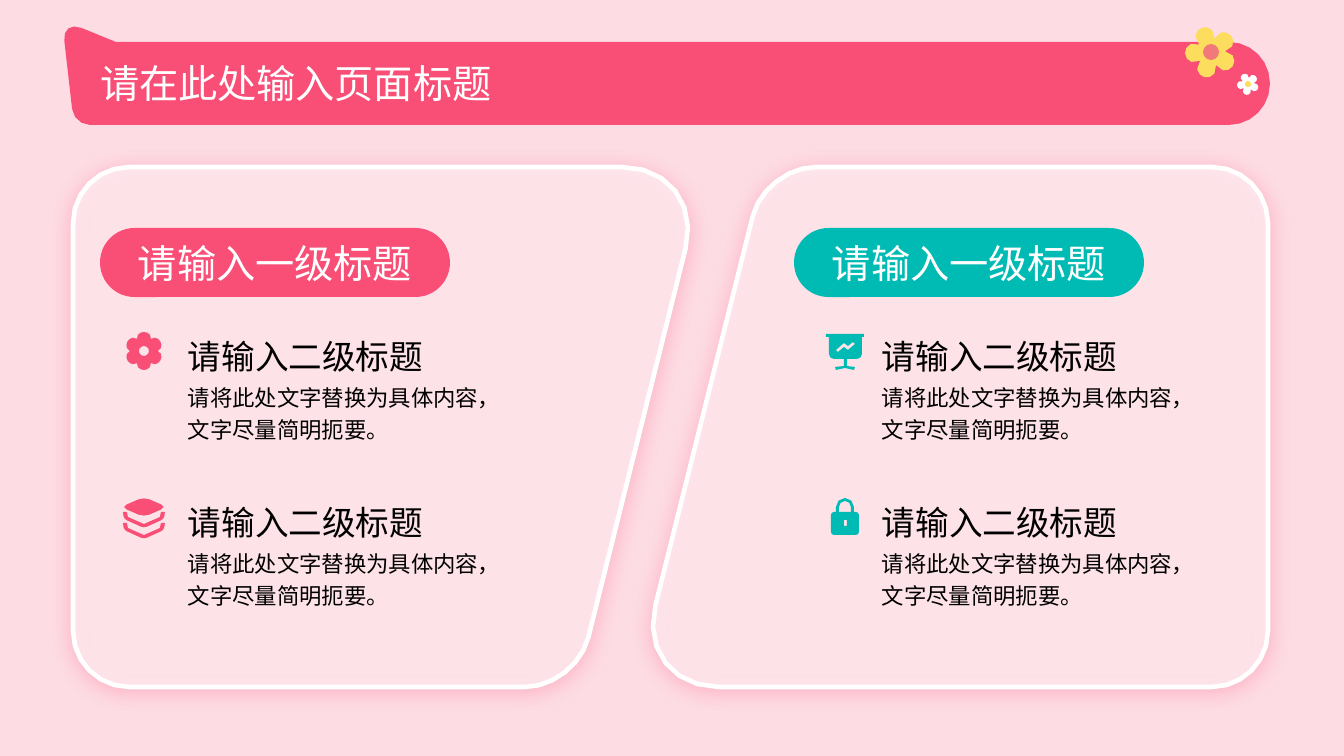
from math import cos, dist, pi, sin

from lxml import etree
from pptx import Presentation
from pptx.dml.color import RGBColor
from pptx.enum.shapes import MSO_SHAPE
from pptx.enum.text import MSO_ANCHOR, MSO_AUTO_SIZE, PP_ALIGN
from pptx.oxml import parse_xml
from pptx.oxml.ns import nsdecls, qn
from pptx.util import Pt

PX = 12192000 / 1344  # EMU per px


class Theme:
    back = RGBColor(0xFE, 0xDC, 0xE4)
    pink = RGBColor(0xF9, 0x4E, 0x76)
    teal = RGBColor(0x00, 0xBB, 0xB4)
    yellow = RGBColor(0xFC, 0xDD, 0x5E)
    coral = RGBColor(0xF2, 0x79, 0x79)
    white = RGBColor(0xFF, 0xFF, 0xFF)
    black = RGBColor(0, 0, 0)
    head_font, body_font = "Noto Sans CJK SC", "Karla"
    title, heading, body = Pt(28), Pt(24), Pt(16)


prs = Presentation()
prs.slide_width, prs.slide_height = round(1344 * PX), round(756 * PX)
s = prs.slides.add_slide(prs.slide_layouts[5])
s.background.fill.solid()
s.background.fill.fore_color.rgb = Theme.back


def outline(contours, color):
    """Fill closed contours of (x, y, cut) corners; cut is the rounded length."""
    fb = None
    for corners in contours:
        pts = []
        for i, (x, y, cut) in enumerate(corners):
            if not cut:
                pts.append((x, y))
                continue
            ends = []
            for nx, ny, _ in (corners[i - 1], corners[(i + 1) % len(corners)]):
                k = cut / dist((x, y), (nx, ny))
                ends.append(((nx - x) * k, (ny - y) * k))
            (ax, ay), (bx, by) = ends
            steps = min(6, 2 + cut // 10)
            for t in (j / steps for j in range(steps + 1)):
                wa = (1 - t) ** 3 + 1.35 * t * (1 - t) ** 2
                wb = t ** 3 + 1.35 * (1 - t) * t ** 2
                pts.append((x + ax * wa + bx * wb, y + ay * wa + by * wb))
        pts = [(round(x * PX), round(y * PX)) for x, y in pts]
        if fb is None:
            fb = s.shapes.build_freeform(*pts[0])
        else:
            fb.move_to(*pts[0])
        fb.add_line_segments(pts[1:], close=True)
    shape = fb.convert_to_shape()
    shape.shadow.inherit = False
    shape.fill.solid()
    shape.fill.fore_color.rgb = color
    shape.line.fill.background()
    return shape


def write(shape, text, size, color, font=Theme.head_font, spacing=1.0):
    tf = shape.text_frame
    tf.word_wrap = True
    p = tf.paragraphs[0]
    p.text = text
    p.line_spacing = spacing
    p.font.name, p.font.size, p.font.color.rgb = font, size, color
    latin = p._p.pPr.find(qn("a:defRPr")).find(qn("a:latin"))
    latin.addnext(etree.Element(qn("a:ea"), typeface=Theme.head_font))
    return p


# Header ribbon and title
outline([[(62, 20, 21), (116, 42, 0), (1270, 42, 41), (1270, 125, 41), (74, 125, 16)]], Theme.pink)
title = s.shapes.title
title.left, title.top, title.width, title.height = (round(v * PX) for v in (92, 55, 1101, 61))
write(title, "请在此处输入页面标题", Theme.title, Theme.white, spacing=0.9).alignment = PP_ALIGN.LEFT
tf = title.text_frame
tf.vertical_anchor = MSO_ANCHOR.MIDDLE
tf.margin_left = tf.margin_right = round(8 * PX)
tf.margin_top = tf.margin_bottom = 0
s.shapes._spTree.append(title._element)

# Panels: the left one is the right one turned by half
right_panel = [(765, 167, 51), (1268, 167, 56), (1268, 687, 56), (635, 687, 84)]
left_panel = [(1341 - x, 854 - y, cut) for x, y, cut in right_panel]
for corners in (right_panel, left_panel):
    panel = outline([corners], Theme.white)
    panel.line.color.rgb, panel.line.width = Theme.white, Pt(3.3)
    fill = panel._element.spPr.find(qn("a:solidFill"))
    etree.SubElement(fill[0], qn("a:alpha"), val="58000")
    effects = panel._element.spPr.find(qn("a:effectLst"))
    effects.append(parse_xml(
        f'<a:outerShdw {nsdecls("a")} blurRad="{Pt(14.1)}" dist="{Pt(2.6)}" dir="5400000" rotWithShape="0">'
        f'<a:srgbClr val="{Theme.pink}"><a:alpha val="40000"/></a:srgbClr></a:outerShdw>'))

# Headings and items
for left, color in ((100, Theme.pink), (794, Theme.teal)):
    pill = s.shapes.add_shape(MSO_SHAPE.ROUNDED_RECTANGLE, *(round(v * PX) for v in (left, 228, 350, 69)))
    pill.adjustments[0] = 0.5
    pill.shadow.inherit = False
    pill.fill.solid()
    pill.fill.fore_color.rgb = color
    pill.line.fill.background()
    write(pill, "请输入一级标题", Theme.title, Theme.white).alignment = PP_ALIGN.CENTER
    for top in (323, 489):
        for dy, height, text, size, font in (
            (0, 56, "请输入二级标题", Theme.heading, Theme.head_font),
            (51, 74, "请将此处文字替换为具体内容，文字尽量简明扼要。", Theme.body, Theme.body_font),
        ):
            box = s.shapes.add_textbox(*(round(v * PX) for v in (left + 78, top + dy, 340, height)))
            write(box, text, size, Theme.black, font, 1.2)
            box.text_frame.auto_size = MSO_AUTO_SIZE.SHAPE_TO_FIT_TEXT

# Flowers and gear: six points to a lobe, round a centre
for cx, cy, core, lobe, count, turn, hole, color, hole_color in (
    (1211, 52, 14, 12, 5, -111, 8, Theme.yellow, Theme.coral),
    (1248, 84, 6, 5, 5, -45, 3, Theme.white, Theme.yellow),
    (144, 351, 14, 5, 6, -90, 5, Theme.pink, Theme.back),
):
    petals = []
    for i in range(6 * count):
        a = turn * pi / 180 + i * pi / 3 / count
        r = core + lobe * abs(cos(i * pi / 6)) ** 0.6
        petals.append((cx + r * cos(a), cy + r * sin(a), 0))
    if hole_color == Theme.back:
        ring = [(cx + hole * cos(i * pi / 6), cy + hole * sin(i * pi / 6), 0) for i in range(12)]
        outline([petals, ring], color)
        continue
    outline([petals], color)
    centre = s.shapes.add_shape(
        MSO_SHAPE.OVAL, *(round(v * PX) for v in (cx - hole, cy - hole, 2 * hole, 2 * hole)))
    centre.shadow.inherit = False
    centre.fill.solid()
    centre.fill.fore_color.rgb = hole_color
    centre.line.fill.background()

# Stack icon
sheet = [(144, 497, 6), (167, 507, 6), (144, 517, 6), (121, 507, 6)]
edges = [[(123, y, 0), (127, y, 0), (128, y + 5, 0), (144, y + 12, 0), (160, y + 5, 0), (161, y, 0),
          (165, y, 0), (164, y + 7, 3), (144, y + 16, 3), (124, y + 7, 3)] for y in (512, 523)]
outline([sheet, *edges], Theme.pink)

# Presentation board icon
board = [(826, 334, 0), (864, 334, 0), (864, 337, 0), (862, 337, 0), (862, 359, 5), (847, 359, 0),
         (847, 366, 0), (855, 367, 0), (854, 370, 0), (845, 368, 0), (836, 370, 0), (835, 367, 0),
         (844, 366, 0), (844, 359, 0), (829, 359, 5), (829, 337, 0), (826, 337, 0)]
trend = [(836, 350, 0), (844, 343, 0), (848, 346, 0), (853, 342, 0), (855, 344, 0), (848, 350, 0),
         (844, 347, 0), (838, 352, 0)]
outline([board, trend], Theme.teal)

# Lock icon
body = [(831, 512, 3), (859, 512, 3), (859, 535, 3), (831, 535, 3)]
shackle = [(836, 512, 0), (836, 498, 9), (854, 498, 9), (854, 512, 0),
           (851, 512, 0), (851, 501, 6), (839, 501, 6), (839, 512, 0)]
keyhole = [(844, 520, 0), (847, 520, 0), (847, 526, 0), (844, 526, 0)]
outline([body, shackle, keyhole], Theme.teal)

prs.save("out.pptx")
